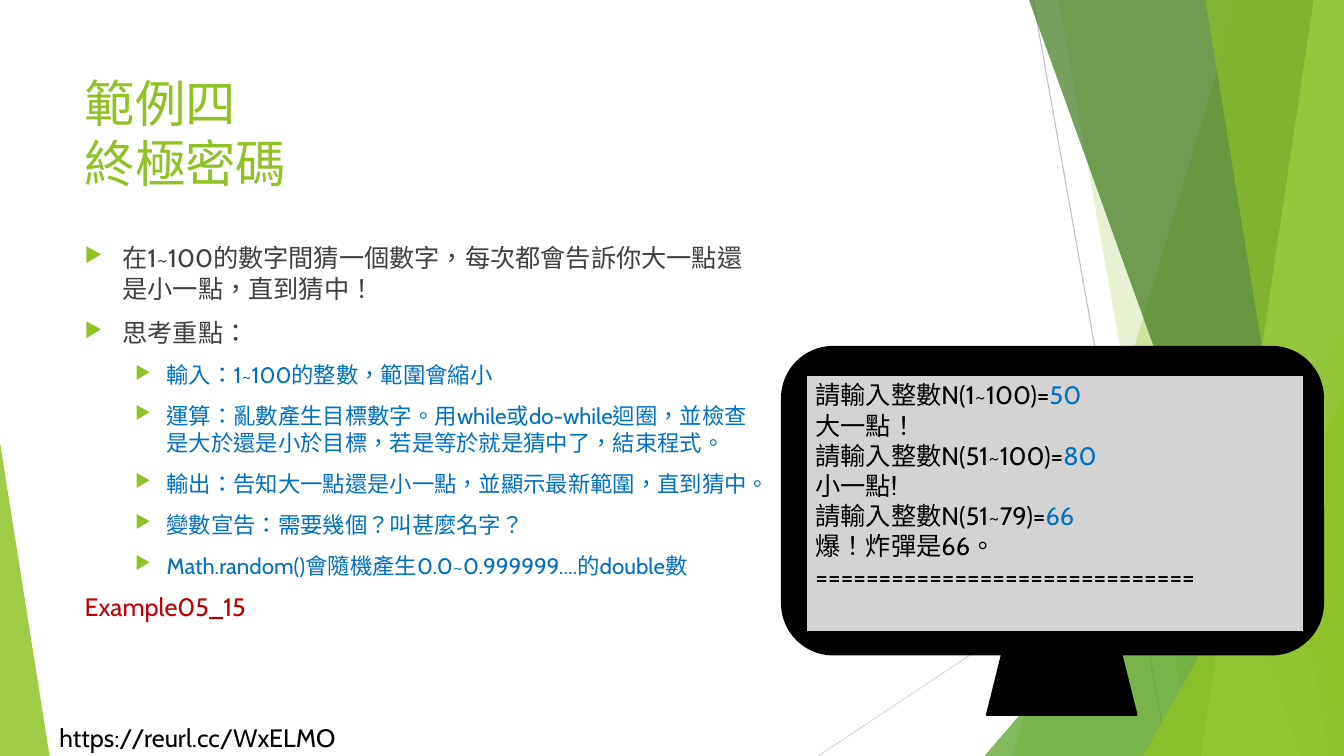
from dataclasses import dataclass

from lxml import etree
from pptx import Presentation
from pptx.dml.color import RGBColor
from pptx.enum.lang import MSO_LANGUAGE_ID
from pptx.enum.shapes import MSO_CONNECTOR, MSO_SHAPE
from pptx.enum.text import MSO_ANCHOR, MSO_AUTO_SIZE, PP_ALIGN
from pptx.oxml.ns import qn
from pptx.util import Emu, Inches, Pt

STRAIGHT = MSO_CONNECTOR.STRAIGHT
TRIANGLE, RECT = MSO_SHAPE.ISOSCELES_TRIANGLE, MSO_SHAPE.RECTANGLE
ROUND_RECT, TRAPEZOID = MSO_SHAPE.ROUNDED_RECTANGLE, MSO_SHAPE.TRAPEZOID
TOP, LEFT = MSO_ANCHOR.TOP, PP_ALIGN.LEFT
FIT_SHAPE = MSO_AUTO_SIZE.SHAPE_TO_FIT_TEXT
ZH_TW = MSO_LANGUAGE_ID.TRADITIONAL_CHINESE

FONT = "Cabin"
COLS, ROWS = 160, 90
CELL = Inches(1) / 12
COLORS = {
    "lime": "90C226", "green": "54A021", "forest": "3F7819", "pale": "C0E474",
    "silver": "BFBFBF", "mist": "D9D9D9", "screen": "D3D3D3",
    "black": "000000", "gray": "404040", "blue": "0070C0", "red": "C00000",
}


@dataclass
class Box:
    col: float
    row: float
    cols: float
    rows: float


@dataclass
class Ray:
    start: tuple[float, float]
    end: tuple[float, float]
    color: str


@dataclass
class Band:
    top_col: float
    bottom_col: float
    color: str
    alpha: int


@dataclass
class Wedge:
    box: Box
    apex: float
    color: str
    alpha: int


@dataclass
class Run:
    text: str
    color: str = "black"
    size: float = 18


@dataclass
class Level:
    depth: int
    margin: float
    hang: float
    size: float
    color: str


RAYS = [Ray((123, 0), (139, 90), "silver"), Ray((160, 48.4), (97.4, 90), "mist")]
FACETS = [
    Band(147.4, 120.5, "lime", 30),
    Band(126, 142, "lime", 20),
    Wedge(Box(117.2, 40, 42.8, 50), 1, "green", 72),
    Band(122.5, 154.9, "forest", 70),
    Band(156.4, 143, "pale", 70),
    Band(143.5, 158.2, "lime", 65),
    Wedge(Box(136.1, 47.2, 23.9, 42.8), 1, "lime", 80),
    Wedge(Box(0, 52.7, 5.9, 37.3), 0, "lime", 85),
]
MAIN = Level(0, 4.5, 4.5, 18, "gray")
SUB = Level(1, 9.75, 3.75, 16, "blue")
BULLETS = [
    (MAIN, "在1~100的數字間猜一個數字，每次都會告訴你大一點還是小一點，直到猜中！"),
    (MAIN, "思考重點："),
    (SUB, "輸入：1~100的整數，範圍會縮小"),
    (SUB, "運算：亂數產生目標數字。用while或do-while迴圈，並檢查是大於還是小於目標，若是等於就是猜中了，結束程式。"),
    (SUB, "輸出：告知大一點還是小一點，並顯示最新範圍，直到猜中。"),
    (SUB, "變數宣告：需要幾個？叫甚麼名字？"),
    (SUB, "Math.random()會隨機產生0.0~0.999999....的double數"),
]
CONSOLE = [
    [Run("請輸入整數N(1~100)="), Run("50", "blue")],
    [Run("大一點！")],
    [Run("請輸入整數N(51~100)="), Run("80", "blue")],
    [Run("小一點!")],
    [Run("請輸入整數N(51~79)="), Run("66", "blue")],
    [Run("爆！炸彈是66。")],
    [Run("=" * 30)],
]


def grid(cells: float) -> Emu:
    return Emu(round(cells * CELL))


def place(box: Box) -> list[Emu]:
    return [grid(v) for v in (box.col, box.row, box.cols, box.rows)]


def rgb(name: str) -> RGBColor:
    return RGBColor.from_string(COLORS[name])


def paint(sp, color: str, alpha: int = 100) -> None:
    sp.shadow.inherit = False
    sp.fill.solid()
    sp.fill.fore_color.rgb = rgb(color)
    if alpha < 100:
        clr = sp.fill._xPr.find(qn("a:solidFill"))[0]
        etree.SubElement(clr, qn("a:alpha"), val=str(alpha * 1000))


def draw_ray(s, ray: Ray) -> None:
    cx = s.shapes.add_connector(STRAIGHT, *map(grid, ray.start + ray.end))
    cx.line.color.rgb = rgb(ray.color)
    cx.line.width = Pt(0.75)
    etree.SubElement(cx._element.spPr, qn("a:effectLst"))


def draw_facet(s, facet: Band | Wedge) -> None:
    if isinstance(facet, Band):
        fb = s.shapes.build_freeform(grid(facet.top_col), 0)
        corners = [(COLS, 0), (COLS, ROWS), (facet.bottom_col, ROWS)]
        fb.add_line_segments([(grid(x), grid(y)) for x, y in corners])
        sp = fb.convert_to_shape()
    else:
        sp = s.shapes.add_shape(TRIANGLE, *place(facet.box))
        sp.adjustments[0] = facet.apex
    paint(sp, facet.color, facet.alpha)
    sp.line.fill.background()


def draw_part(s, kind: MSO_SHAPE, box: Box, color: str):
    sp = s.shapes.add_shape(kind, *place(box))
    paint(sp, color)
    sp.line.color.rgb = rgb("black")
    sp.line.width = Pt(1.5)
    return sp


def add_run(p, run: Run) -> None:
    r = p.add_run()
    r.text = run.text
    r.font.name = FONT
    r.font.size = Pt(run.size)
    r.font.color.rgb = rgb(run.color)
    r.font.language_id = ZH_TW


def write(tf, lines: list[list[Run]]) -> None:
    tf.vertical_anchor = TOP
    for i, line in enumerate(lines):
        p = tf.add_paragraph() if i else tf.paragraphs[0]
        p.alignment = LEFT
        for run in line:
            add_run(p, run)


def add_text(s, box: Box, lines: list[list[Run]], wrap: bool = True):
    tf = s.shapes.add_textbox(*place(box)).text_frame
    tf.word_wrap = wrap
    if not wrap:
        tf.auto_size = FIT_SHAPE
    write(tf, lines)
    return tf


def set_bullet(p, level: Level) -> None:
    p.level = level.depth
    pPr = p._p.get_or_add_pPr()
    pPr.set("marL", str(grid(level.margin)))
    pPr.set("indent", str(-grid(level.hang)))
    clr = etree.SubElement(pPr, qn("a:buClr"))
    etree.SubElement(clr, qn("a:srgbClr"), val=COLORS["lime"])
    etree.SubElement(pPr, qn("a:buSzPct"), val="80000")
    etree.SubElement(pPr, qn("a:buChar"), char="▶")


def main() -> None:
    prs = Presentation()
    prs.slide_width, prs.slide_height = grid(COLS), grid(ROWS)
    s = prs.slides.add_slide(prs.slide_layouts[6])

    for ray in RAYS:
        draw_ray(s, ray)
    for facet in FACETS:
        draw_facet(s, facet)
    add_text(s, Box(5.9, 85.4, 37.4, 4.8), [[Run("https://reurl.cc/WxELMO")]], False)

    tf = add_text(s, Box(8.9, 8, 112.8, 17.3), [[Run("範例四", "lime", 36)]])
    tf.paragraphs[0].add_line_break()
    add_run(tf.paragraphs[0], Run("終極密碼", "lime", 36))

    lines = [[Run(text, level.color, level.size)] for level, text in BULLETS]
    tf = add_text(s, Box(8.9, 28.3, 82, 50.9), lines)
    for i, (p, (level, _)) in enumerate(zip(tf.paragraphs, BULLETS)):
        p.space_before = Pt(10 if i else 0)
        set_bullet(p, level)

    draw_part(s, ROUND_RECT, Box(93.1, 41.3, 64.4, 36.6), "black")
    screen = draw_part(s, RECT, Box(95.9, 44.6, 59.4, 30.6), "screen")
    screen.text_frame.word_wrap = True
    write(screen.text_frame, CONSOLE)
    draw_part(s, TRAPEZOID, Box(117.5, 78, 17.8, 7.1), "black")
    add_text(s, Box(8.9, 69.8, 22, 4.8), [[Run("Example05_15", "red")]], False)

    prs.save("out.pptx")


if __name__ == "__main__":
    main()
